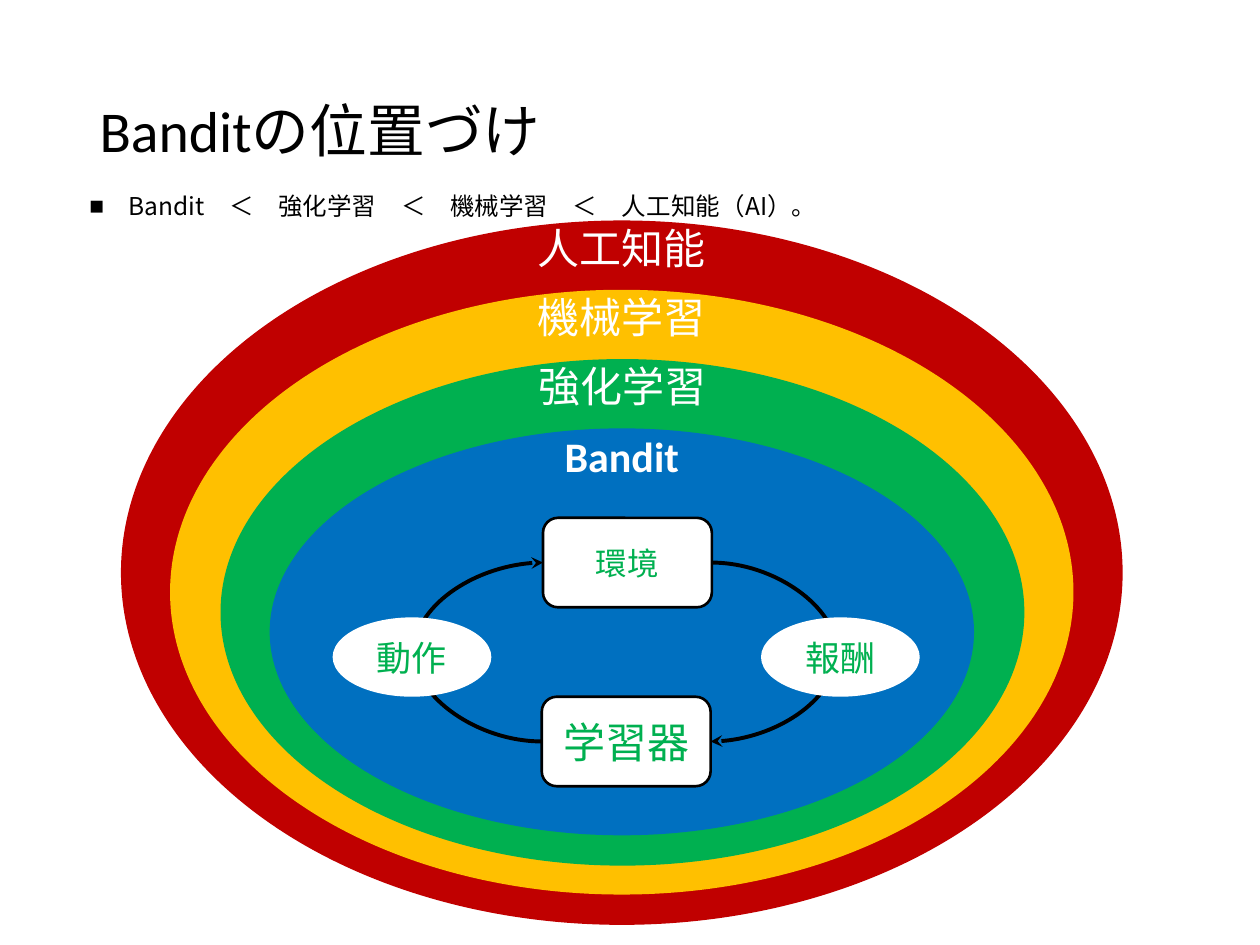
from dataclasses import dataclass

import pptx
import pptx.dml.color
import pptx.enum.shapes
import pptx.enum.text
import pptx.oxml
import pptx.oxml.ns
import pptx.util
from pptx.util import Inches

SHAPE = pptx.enum.shapes.MSO_SHAPE
ALIGN = pptx.enum.text.PP_ALIGN
ANCHOR = pptx.enum.text.MSO_ANCHOR


@dataclass(frozen=True)
class Theme:
    latin: str = "Calibri"
    cjk: str = "Noto Sans CJK JP"
    black: str = "000000"
    white: str = "FFFFFF"
    red: str = "C00000"
    amber: str = "FFC000"
    green: str = "00B050"
    blue: str = "0070C0"
    title_size: int = 33
    body_size: int = 14
    ring_size: int = 24
    border: float = 1.5
    arrow: float = 2.25


@dataclass(frozen=True)
class Box:
    x: float
    y: float
    w: float
    h: float

    def lengths(self):
        return [Inches(v) for v in (self.x, self.y, self.w, self.h)]


@dataclass(frozen=True)
class Ring:
    text: str
    box: Box
    fill: str
    bold: bool = False


@dataclass(frozen=True)
class Node:
    text: str
    box: Box
    size: int
    kind: SHAPE


T = Theme()
RINGS = [
    Ring("人工知能", Box(0.96, 1.75, 7.95, 5.59), T.red),
    Ring("機械学習", Box(1.35, 2.3, 7.17, 4.8), T.amber),
    Ring("強化学習", Box(1.75, 2.85, 6.38, 4.02), T.green),
    Ring("Bandit", Box(2.14, 3.4, 5.59, 3.23), T.blue, True),
]
ENVIRONMENT = Node("環境", Box(4.31, 4.11, 1.34, 0.71), 18, SHAPE.ROUNDED_RECTANGLE)
LEARNER = Node("学習器", Box(4.3, 5.53, 1.34, 0.71), 24, SHAPE.ROUNDED_RECTANGLE)
ACTION = Node("動作", Box(2.64, 4.9, 1.26, 0.63), 20, SHAPE.OVAL)
REWARD = Node("報酬", Box(6.04, 4.9, 1.26, 0.63), 20, SHAPE.OVAL)


def rgb(value: str):
    return pptx.dml.color.RGBColor.from_string(value)


def set_attrs(obj, values: dict):
    for name, value in values.items():
        setattr(obj, name, value)


def write(tf, text: str, size: float, color: str, align, latin=T.latin, bold=False):
    p = tf.paragraphs[0]
    p.alignment = align
    r = p.add_run()
    r.text = text
    set_attrs(r.font, {"name": latin, "size": pptx.util.Pt(size), "bold": bold})
    r.font.color.rgb = rgb(color)
    ea = pptx.oxml.parse_xml(f'<a:ea {pptx.oxml.ns.nsdecls("a")} typeface="{T.cjk}"/>')
    r.font._element.find(pptx.oxml.ns.qn("a:latin")).addnext(ea)
    return p


def place(sp, box: Box):
    set_attrs(sp, dict(zip(("left", "top", "width", "height"), box.lengths())))


def add_filled(s, kind, box: Box, fill: str):
    sp = s.shapes.add_shape(kind, *box.lengths())
    sp.shadow.inherit = False
    sp.fill.solid()
    sp.fill.fore_color.rgb = rgb(fill)
    sp.line.fill.background()
    return sp


def add_ring(s, ring: Ring):
    """Draw an ellipse with its label just inside the top edge."""
    add_filled(s, SHAPE.OVAL, ring.box, ring.fill)
    label = Box(ring.box.x, ring.box.y, ring.box.w, 0.43)
    tf = s.shapes.add_textbox(*label.lengths()).text_frame
    set_attrs(tf, {"word_wrap": True, "vertical_anchor": ANCHOR.MIDDLE,
                   "margin_top": 0, "margin_bottom": 0})
    write(tf, ring.text, T.ring_size, T.white, ALIGN.CENTER, bold=ring.bold)


def add_node(s, node: Node):
    sp = add_filled(s, node.kind, node.box, T.white)
    if node.kind == SHAPE.ROUNDED_RECTANGLE:
        sp.line.color.rgb = rgb(T.black)
        sp.line.width = pptx.util.Pt(T.border)
    tf = sp.text_frame
    set_attrs(tf, {"word_wrap": True, "vertical_anchor": ANCHOR.MIDDLE})
    write(tf, node.text, node.size, T.green, ALIGN.CENTER)
    return sp


def add_loop_arrow(s, start, end, side: int, bulge: float):
    """Join the same side of two boxes by a curve that swings out by bulge inches."""
    c = s.shapes.add_connector(pptx.enum.shapes.MSO_CONNECTOR.CURVE, 0, 0, 0, 0)
    c.begin_connect(start, side)
    c.end_connect(end, side)
    c.line.color.rgb = rgb(T.black)
    c.line.width = pptx.util.Pt(T.arrow)
    ns = pptx.oxml.ns.nsdecls("a")
    c.line._get_or_add_ln().append(pptx.oxml.parse_xml(f'<a:tailEnd {ns} type="stealth"/>'))
    sp_pr = c._element.spPr
    sp_pr.append(pptx.oxml.parse_xml(f"<a:effectLst {ns}/>"))
    adjust = round(-Inches(bulge) / c.width * 100000)
    guides = pptx.oxml.parse_xml(
        f'<a:avLst {ns}><a:gd name="adj1" fmla="val {adjust}"/></a:avLst>')
    geom = sp_pr.find(pptx.oxml.ns.qn("a:prstGeom"))
    for child in list(geom):
        geom.remove(child)
    geom.append(guides)


def add_heading(s):
    title, body = s.placeholders
    place(title, Box(0.69, 0.3, 8.62, 1.45))
    set_attrs(title.text_frame, {"vertical_anchor": ANCHOR.MIDDLE})
    write(title.text_frame, "Banditの位置づけ", T.title_size, T.black, ALIGN.LEFT)

    place(body, Box(0.69, 1.51, 8.62, 0.26))
    set_attrs(body.text_frame, {
        "auto_size": pptx.enum.text.MSO_AUTO_SIZE.NONE,
        "margin_left": Inches(0.02), "margin_right": Inches(0.02),
        "margin_top": Inches(0.01), "margin_bottom": Inches(0.01)})
    p = write(body.text_frame, "Bandit　＜　強化学習　＜　機械学習　＜　人工知能（AI）。",
              T.body_size, T.black, ALIGN.LEFT, T.cjk)
    p.space_before = pptx.util.Pt(0.7)
    p_pr = p._p.get_or_add_pPr()
    p_pr.set("marL", str(Inches(0.31)))
    p_pr.set("indent", str(-Inches(0.31)))
    p_pr.append(pptx.oxml.parse_xml(f'<a:buChar {pptx.oxml.ns.nsdecls("a")} char="■"/>'))


def main():
    prs = pptx.Presentation()
    set_attrs(prs, {"slide_width": Inches(10), "slide_height": Inches(7.5)})
    s = prs.slides.add_slide(prs.slide_layouts[1])
    add_heading(s)
    for ring in RINGS:
        add_ring(s, ring)
    environment = add_node(s, ENVIRONMENT)
    learner = add_node(s, LEARNER)
    add_loop_arrow(s, learner, environment, side=1, bulge=1.03)
    add_node(s, ACTION)
    add_loop_arrow(s, environment, learner, side=3, bulge=1.01)
    add_node(s, REWARD)
    prs.save("out.pptx")


if __name__ == "__main__":
    main()
